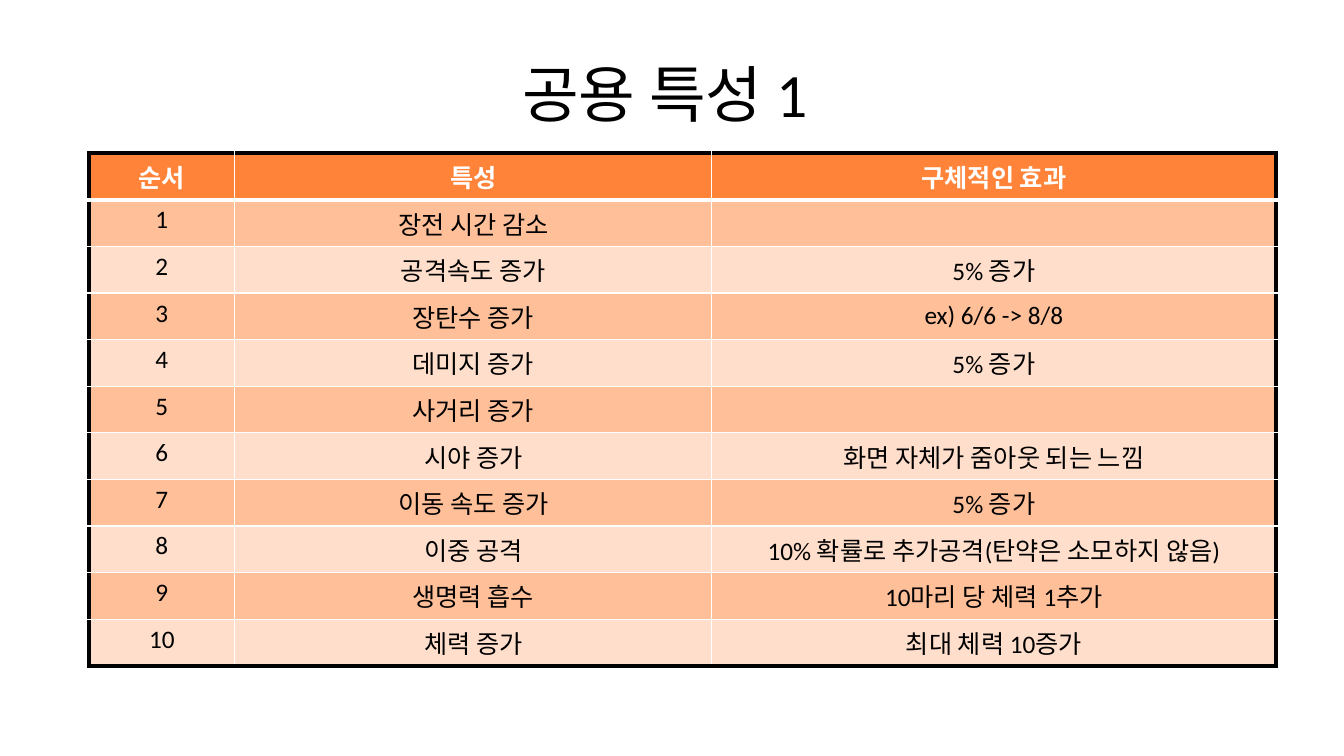
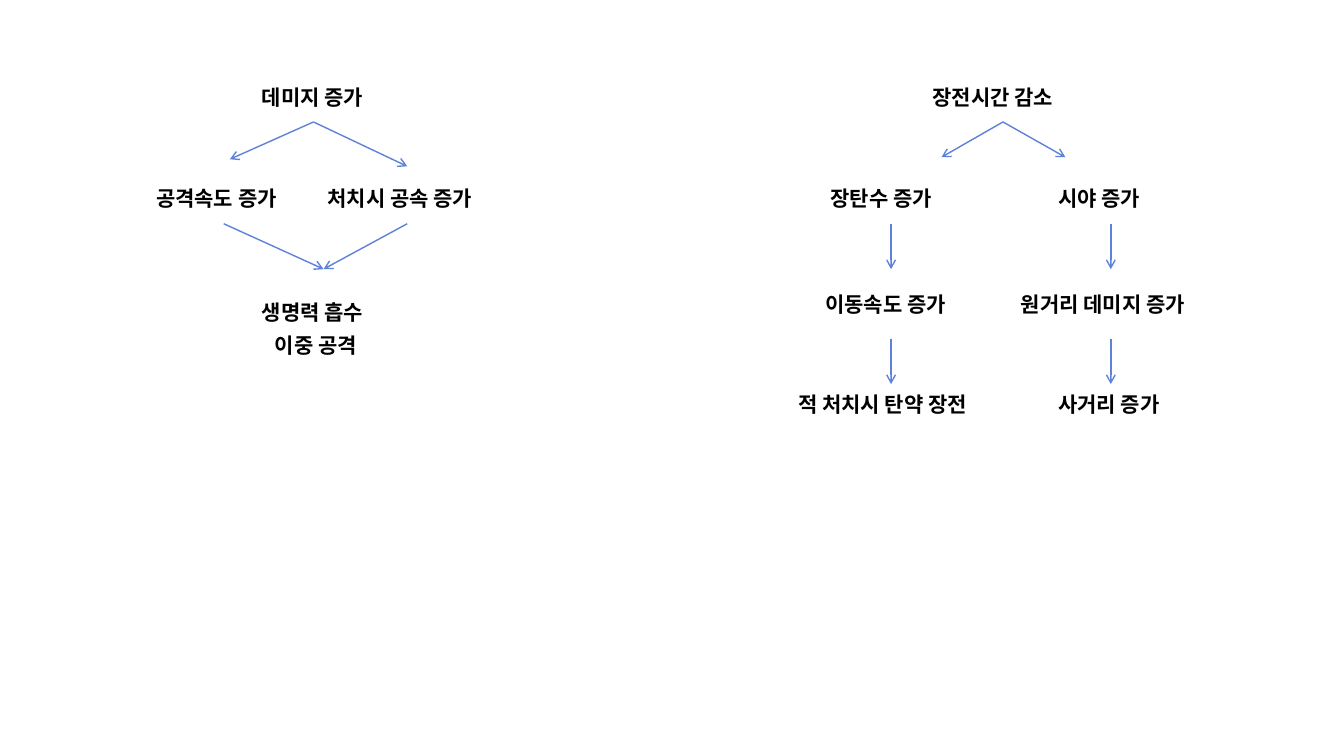
"""Build two slides: a table of shared traits and the trait upgrade trees."""
import pptx
import pptx.dml.color
import pptx.enum.shapes
import pptx.enum.text
import pptx.oxml
import pptx.oxml.ns
import pptx.util

RGBColor = pptx.dml.color.RGBColor
ALIGN = pptx.enum.text.PP_ALIGN
ANCHOR = pptx.enum.text.MSO_ANCHOR

BLACK = RGBColor(0x00, 0x00, 0x00)
WHITE = RGBColor(0xFF, 0xFF, 0xFF)
ORANGE = RGBColor(0xFF, 0x84, 0x3A)
PEACH = RGBColor(0xFF, 0xBF, 0x99)
CREAM = RGBColor(0xFF, 0xDF, 0xCC)
BLUE = RGBColor(0x5E, 0x81, 0xD9)

FONT = "Calibri"
CELL = pptx.util.Inches(0.1)
COLUMNS, ROWS = 133.33, 75
TOP, BOTTOM = 0, 2
LABEL_ROW, LABEL_HEIGHT = 7.1, 5

TRAITS = [
    ("순서", "특성", "구체적인 효과"),
    ("1", "장전 시간 감소", ""),
    ("2", "공격속도 증가", "5% 증가"),
    ("3", "장탄수 증가", "ex) 6/6 -> 8/8"),
    ("4", "데미지 증가", "5% 증가"),
    ("5", "사거리 증가", ""),
    ("6", "시야 증가", "화면 자체가 줌아웃 되는 느낌"),
    ("7", "이동 속도 증가", "5% 증가"),
    ("8", "이중 공격", "10% 확률로 추가공격(탄약은 소모하지 않음)"),
    ("9", "생명력 흡수", "10마리 당 체력 1추가"),
    ("10", "체력 증가", "최대 체력 10증가"),
]


def grid(*cells):
    """Turn grid cells into slide lengths."""
    return [pptx.util.Emu(round(count * CELL)) for count in cells]


def write_text(frame, text, *, size, color=BLACK, bold=False, align=ALIGN.LEFT):
    """Write one formatted paragraph into a text frame."""
    paragraph = frame.paragraphs[0]
    paragraph.alignment = align
    font = paragraph.font
    if text:
        run = paragraph.add_run()
        run.text = text
        font = run.font
    font.name = FONT
    font.size = pptx.util.Pt(size)
    font.bold = bold
    font.color.rgb = color


def set_border(cell, side, color, width):
    """Draw one side (L, R, T or B) of a table cell."""
    cell._tc.get_or_add_tcPr().append(pptx.oxml.parse_xml(
        f'<a:ln{side} {pptx.oxml.ns.nsdecls("a")} w="{pptx.util.Pt(width)}">'
        f'<a:solidFill><a:srgbClr val="{color}"/></a:solidFill></a:ln{side}>'))


class Deck:
    """Hold the shared style and the current slide."""

    def __init__(self):
        """Start an empty widescreen presentation."""
        self.presentation = pptx.Presentation()
        self.presentation.slide_width, self.presentation.slide_height = grid(COLUMNS, ROWS)
        self.slide = None

    def add_slide(self):
        """Add a title-only slide and make it current."""
        self.slide = self.presentation.slides.add_slide(self.presentation.slide_layouts[5])

    def fill_box(self, shape, text, area, insets, anchor=ANCHOR.MIDDLE, **style):
        """Place a text shape on the grid and write into it."""
        shape.left, shape.top, shape.width, shape.height = grid(*area)
        frame = shape.text_frame
        frame.auto_size = pptx.enum.text.MSO_AUTO_SIZE.NONE
        frame.word_wrap = True
        frame.vertical_anchor = anchor
        frame.margin_left, frame.margin_right = grid(*insets)
        frame.margin_top = frame.margin_bottom = 0
        write_text(frame, text, **style)
        return shape

    def title(self, text, area, insets=(1, 1), **style):
        """Fill the title placeholder."""
        return self.fill_box(self.slide.shapes.title, text, area, insets,
                             align=ALIGN.CENTER, **style)

    def label(self, text, left, top, width, height=LABEL_HEIGHT, anchor=ANCHOR.MIDDLE):
        """Add a bold trait name."""
        area = (left, top, width, height)
        shape = self.slide.shapes.add_textbox(*grid(*area))
        return self.fill_box(shape, text, area, (1, 0), anchor, size=15, bold=True)

    def arrow(self, source, target):
        """Draw an arrow from a label's bottom to a label's top or a grid point."""
        connector = self.slide.shapes.add_connector(
            pptx.enum.shapes.MSO_CONNECTOR.STRAIGHT, 0, 0, 0, 0)
        connector.begin_connect(source, BOTTOM)
        if isinstance(target, tuple):
            connector.end_x, connector.end_y = grid(*target)
        else:
            connector.end_connect(target, TOP)
        connector.line.color.rgb = BLUE
        connector.line.width = pptx.util.Pt(1)
        namespace = pptx.oxml.ns.nsdecls("a")
        connector.line._get_or_add_ln().append(
            pptx.oxml.parse_xml(f'<a:tailEnd {namespace} type="arrow"/>'))
        connector._element.spPr.append(pptx.oxml.parse_xml(f"<a:effectLst {namespace}/>"))

    def table(self, rows, left, top, widths, row_height):
        """Add a banded table with a black frame."""
        last_row, last_column = len(rows) - 1, len(widths) - 1
        area = (left, top, sum(widths), row_height * len(rows))
        table = self.slide.shapes.add_table(len(rows), len(widths), *grid(*area)).table
        for column, width in zip(table.columns, grid(*widths)):
            column.width = width
        for row_index, texts in enumerate(rows):
            header = row_index == 0
            table.rows[row_index].height = grid(row_height)[0]
            for column_index, text in enumerate(texts):
                cell = table.cell(row_index, column_index)
                middle = not header and column_index > 0
                cell.vertical_anchor = ANCHOR.MIDDLE if middle else ANCHOR.TOP
                write_text(cell.text_frame, text, size=18, bold=header,
                           color=WHITE if header else BLACK, align=ALIGN.CENTER)
                frame_sides = {"L": column_index == 0, "R": column_index == last_column,
                               "T": header, "B": row_index == last_row}
                for side, outer in frame_sides.items():
                    below_header = (side, row_index) in (("B", 0), ("T", 1))
                    set_border(cell, side, BLACK if outer else WHITE,
                               3 if outer or below_header else 1)
                cell.fill.solid()
                cell.fill.fore_color.rgb = ORANGE if header else (CREAM, PEACH)[row_index % 2]


def build_traits(deck):
    """Build the table of shared traits."""
    deck.add_slide()
    deck.title("공용 특성 1 ", (6.67, 3, 120, 12.5), size=44)
    deck.table(TRAITS, 8.8, 15.2, (14.5, 47.3, 56), 4.6)


def build_trees(deck):
    """Build the two upgrade trees."""
    deck.add_slide()
    reload_time = deck.title("장전시간 감소", (91.2, LABEL_ROW, 16.6, LABEL_HEIGHT),
                             (0, 2), size=15, bold=True)
    damage = deck.label("데미지 증가", 25, LABEL_ROW, 12.2)
    attack_speed = deck.label("공격속도 증가", 14.5, 17.2, 15.4)
    kill_speed = deck.label("처치시 공속 증가", 31.5, 17.2, 17.8)
    life_steal = deck.label("생명력 흡수", 25, 26.7, 14.2, 5.5, ANCHOR.BOTTOM)
    deck.label("이중 공격", 26.3, 32.5, 11.7, 3.5)
    branches = [
        [deck.label("장탄수 증가", 81.4, 17.2, 14),
         deck.label("이동속도 증가", 80.9, 26.7, 15, 6.9),
         deck.label("적 처치시 탄약 장전", 78.2, 38.1, 20.4, 4)],
        [deck.label("시야 증가", 104, 17.2, 12.4),
         deck.label("원거리 데미지 증가", 100.3, 26.7, 19.8, 6.9),
         deck.label("사거리 증가", 104, 38.1, 12.4, 4)],
    ]
    links = [
        (damage, (22.8, 15.8)), (damage, (40.4, 16.5)),
        (attack_speed, life_steal), (kill_speed, life_steal),
        (reload_time, (93.4, 15.6)), (reload_time, (105.7, 15.6)),
    ]
    for branch in branches:
        links.extend(zip(branch, branch[1:]))
    for source, target in links:
        deck.arrow(source, target)


def main():
    """Build and save the presentation."""
    deck = Deck()
    build_traits(deck)
    build_trees(deck)
    deck.presentation.save("out.pptx")


if __name__ == "__main__":
    main()
